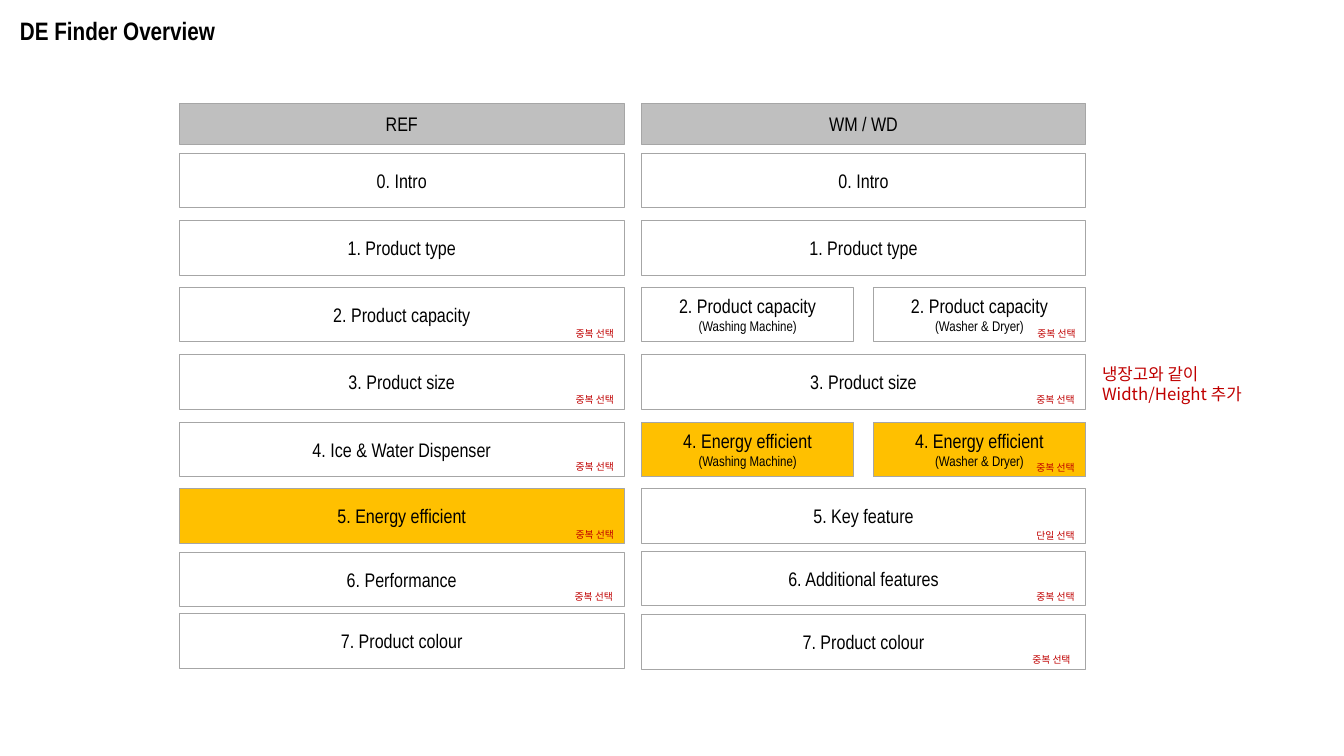
from collections import namedtuple

from lxml.etree import SubElement
from pptx import Presentation
from pptx.dml.color import RGBColor
from pptx.enum.shapes import MSO_SHAPE
from pptx.enum.text import MSO_ANCHOR, MSO_AUTO_SIZE, PP_ALIGN
from pptx.oxml.ns import qn
from pptx.util import Emu, Pt

PX = 9144
LATIN, KOREAN = "Arial Narrow", "Noto Sans CJK KR"
BLACK, RED, GREY, SILVER = "000000", "C00000", "A6A6A6", "BFBFBF"
WHITE, AMBER = "FFFFFF", "FFC000"
COLUMN_W, HALF_W, HEADER_H, ROW_H = 441, 211, 40, 54
UPPER_TOPS = (49, 116, 182, 249, 316, 382)
MULTIPLE, SINGLE = "중복 선택", "단일 선택"
VARIANTS = ("(Washing Machine)", "(Washer & Dryer)")

Step = namedtuple("Step", "title note fill variants note_x note_y",
                  defaults=("", None, (), 391, 38))

REF_STEPS = (
    Step("0. Intro", fill=WHITE),
    Step("1. Product type"),
    Step("2. Product capacity", MULTIPLE, note_x=392, note_y=39),
    Step("3. Product size", MULTIPLE, note_x=392),
    Step("4. Ice & Water Dispenser", MULTIPLE, note_x=392, note_y=37),
    Step("5. Energy efficient", MULTIPLE, AMBER, note_x=392, note_y=39),
    Step("6. Performance", MULTIPLE, note_y=37),
    Step("7. Product colour"),
)
WASHER_STEPS = (
    Step("0. Intro", fill=WHITE),
    Step("1. Product type"),
    Step("2. Product capacity", MULTIPLE, None, VARIANTS, 392, 39),
    Step("3. Product size", MULTIPLE),
    Step("4. Energy efficient", MULTIPLE, AMBER, VARIANTS),
    Step("5. Key feature", SINGLE, note_y=40),
    Step("6. Additional features", MULTIPLE),
    Step("7. Product colour", MULTIPLE, note_x=387),
)


def px(*lengths):
    """Turn px lengths into EMU."""
    return [Emu(n * PX) for n in lengths]


def color(hex_string):
    """Turn a hex string into a colour."""
    return RGBColor.from_string(hex_string)


def style(p, size, font, hex_string, bold=False):
    """Format every run of a paragraph."""
    for r in p.runs:
        r.font.size, r.font.bold, r.font.name = Pt(size), bold, font
        r.font.color.rgb = color(hex_string)
        SubElement(r.font._element, qn("a:ea"), typeface=font)


def set_insets(tf, inset):
    """Give a text frame the same inset on all sides."""
    tf.margin_left = tf.margin_right = tf.margin_top = tf.margin_bottom = Emu(inset * PX)


def add_title(s, x, y, w, h, text):
    """Add the slide heading."""
    tf = s.shapes.add_textbox(*px(x, y, w, h)).text_frame
    tf.word_wrap = False
    tf.auto_size = MSO_AUTO_SIZE.SHAPE_TO_FIT_TEXT
    tf.text = text
    style(tf.paragraphs[0], 18, LATIN, BLACK, True)


def add_note(s, x, y, w, h, text, size):
    """Add a red Korean remark."""
    tf = s.shapes.add_textbox(*px(x, y, w, h)).text_frame
    tf.word_wrap = True
    tf.auto_size = MSO_AUTO_SIZE.SHAPE_TO_FIT_TEXT
    set_insets(tf, 1)
    p = tf.paragraphs[0]
    p.text = text
    p.space_before = Pt(3)
    style(p, size, KOREAN, RED)


def add_box(s, x, y, w, h, lines, fill):
    """Add an outlined box with a label and an optional smaller second line."""
    sp = s.shapes.add_shape(MSO_SHAPE.RECTANGLE, *px(x, y, w, h))
    sp.shadow.inherit = False
    sp.line.color.rgb, sp.line.width = color(GREY), Pt(0.75)
    if fill:
        sp.fill.solid()
        sp.fill.fore_color.rgb = color(fill)
    else:
        sp.fill.background()
    tf = sp.text_frame
    tf.word_wrap = True
    tf.vertical_anchor = MSO_ANCHOR.MIDDLE
    set_insets(tf, 0)
    tf.text = "\n".join(lines)
    for p, size in zip(tf.paragraphs, (14, 10)):
        p.alignment = PP_ALIGN.CENTER
        style(p, size, LATIN, BLACK)


def add_step(s, x, y, step):
    """Add one row: a full box or two variant halves, plus its remark."""
    if step.variants:
        for i, variant in enumerate(step.variants):
            left = x + i * (COLUMN_W - HALF_W)
            add_box(s, left, y, HALF_W, ROW_H, (step.title, variant), step.fill)
    else:
        add_box(s, x, y, COLUMN_W, ROW_H, (step.title,), step.fill)
    if step.note:
        add_note(s, x + step.note_x, y + step.note_y, 79, 14, step.note, 7)


def add_column(s, x, y, header, steps, lower_tops):
    """Add a product column with its header and steps."""
    add_box(s, x, y, COLUMN_W, HEADER_H, (header,), SILVER)
    for top, step in zip(UPPER_TOPS + lower_tops, steps):
        add_step(s, x, y + top, step)


def main():
    """Build and save the overview slide."""
    prs = Presentation()
    prs.slide_width, prs.slide_height = px(1333, 750)
    s = prs.slides.add_slide(prs.slide_layouts[6])
    add_title(s, 10, 10, 216, 40, "DE Finder Overview")
    add_column(s, 178, 103, "REF", REF_STEPS, (445, 506))
    add_column(s, 636, 103, "WM / WD", WASHER_STEPS, (444, 507))
    add_note(s, 1092, 360, 199, 43, "냉장고와 같이\vWidth/Height 추가", 12)
    prs.save("out.pptx")


if __name__ == "__main__":
    main()
